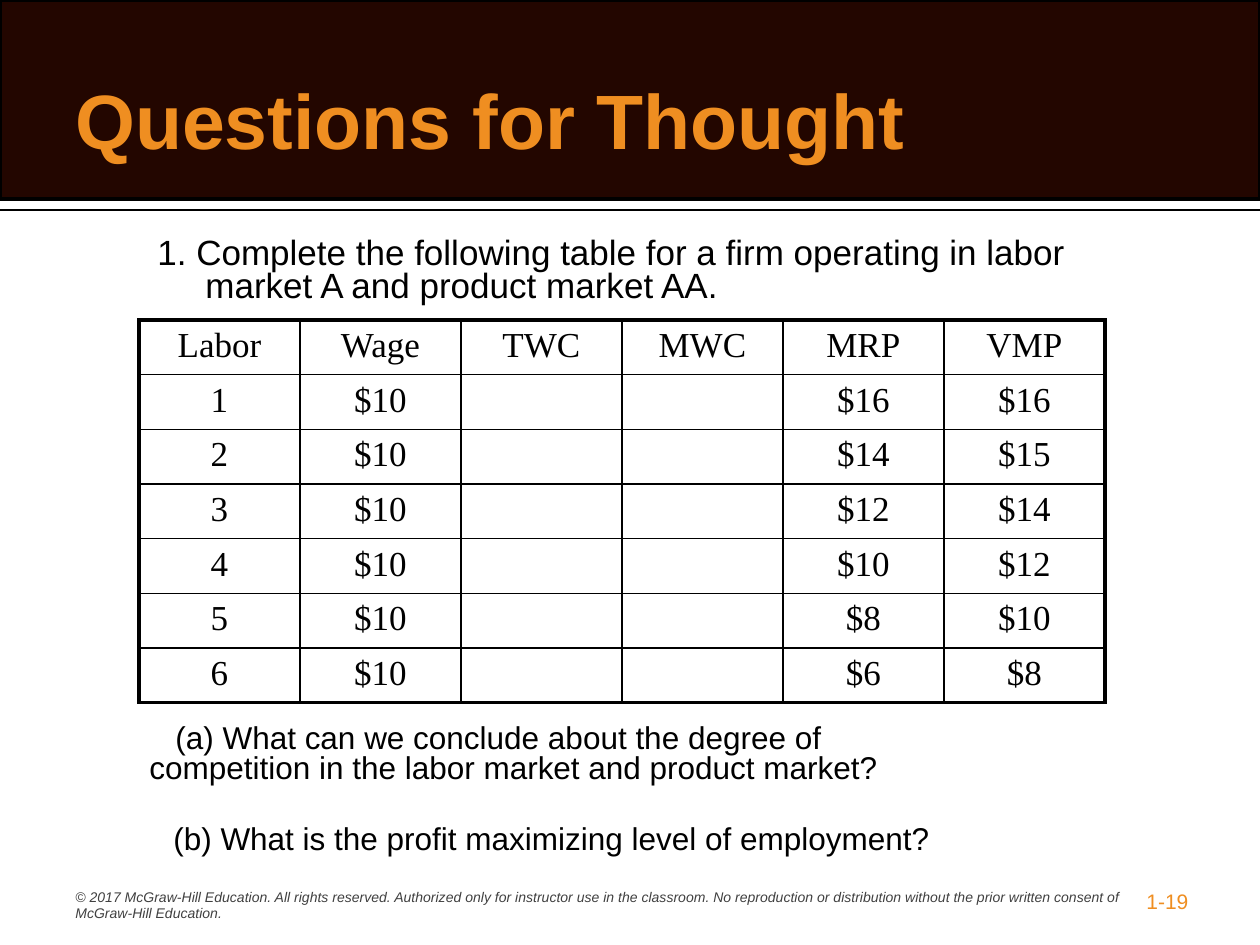
from lxml.etree import SubElement
from pptx import Presentation
from pptx.dml.color import RGBColor
from pptx.enum.shapes import MSO_CONNECTOR, MSO_SHAPE
from pptx.enum.text import MSO_ANCHOR, PP_ALIGN
from pptx.oxml.ns import qn
from pptx.util import Emu, Pt

PX = 914400 / 126
COLORS = {"band": "230600", "accent": "EF8E21", "ink": "000000", "footer": "404040"}
ROWS = [
    ["Labor", "Wage", "TWC", "MWC", "MRP", "VMP"],
    ["1", "$10", "", "", "$16", "$16"],
    ["2", "$10", "", "", "$14", "$15"],
    ["3", "$10", "", "", "$12", "$14"],
    ["4", "$10", "", "", "$10", "$12"],
    ["5", "$10", "", "", "$8", "$10"],
    ["6", "$10", "", "", "$6", "$8"],
]


def px(length):
    return Emu(round(length * PX))


def color(name):
    return RGBColor.from_string(COLORS[name])


def write(frame, text, size, ink="ink", font="Arial", bold=False, italic=False,
          align=PP_ALIGN.LEFT, spacing=None, left=0, indent=0):
    """Fill a text frame with one paragraph; left and indent are in px."""
    frame.word_wrap = True
    para = frame.paragraphs[0]
    para.text = text
    para.alignment = align
    para.space_before = Pt(0)
    if spacing:
        para.line_spacing = spacing
    if left or indent:
        properties = para._p.get_or_add_pPr()
        properties.set("marL", str(px(left)))
        properties.set("indent", str(px(indent)))
    for span in para.runs:
        span.font.size = Pt(size)
        span.font.name = font
        span.font.bold = bold
        span.font.italic = italic
        span.font.color.rgb = color(ink)


def add_text(page, box, text, size, anchor=MSO_ANCHOR.TOP, **style):
    frame = page.shapes.add_textbox(*map(px, box)).text_frame
    frame.vertical_anchor = anchor
    write(frame, text, size, **style)


def add_header(page, box):
    left, top, width, height = box
    band = page.shapes.add_shape(MSO_SHAPE.RECTANGLE, *map(px, box))
    band.shadow.inherit = False
    band.fill.solid()
    band.fill.fore_color.rgb = color("band")
    band.line.color.rgb = color("ink")
    band.line.width = Pt(2)

    rule_y = top + height + 11
    rule = page.shapes.add_connector(
        MSO_CONNECTOR.STRAIGHT, px(left), px(rule_y), px(left + width), px(rule_y))
    rule.line.color.rgb = color("ink")
    rule.line.width = Pt(1)
    SubElement(rule._element.spPr, qn("a:effectLst"))

    add_text(page, (left + 63, top + 40, width - 126, 158), "Questions for Thought", 44,
             anchor=MSO_ANCHOR.MIDDLE, ink="accent", bold=True)


def add_border(cell, side, points):
    line = SubElement(cell._tc.get_or_add_tcPr(), qn(f"a:ln{side}"), w=str(Pt(points)))
    fill = SubElement(line, qn("a:solidFill"))
    SubElement(fill, qn("a:srgbClr"), val=COLORS["ink"])


def add_labor_table(page, box):
    height, width = len(ROWS), len(ROWS[0])
    table = page.shapes.add_table(height, width, *map(px, box)).table
    table.first_row = table.horz_banding = False
    for column in table.columns:
        column.width = px(box[2] / width)
    for y, values in enumerate(ROWS):
        table.rows[y].height = px(box[3] / height)
        for x, value in enumerate(values):
            cell = table.cell(y, x)
            outer = {"L": x == 0, "R": x == width - 1, "T": y == 0, "B": y == height - 1}
            for side, is_outer in outer.items():
                add_border(cell, side, 2.25 if is_outer else 1)
            cell.fill.background()
            write(cell.text_frame, value, 20, font="Times New Roman", align=PP_ALIGN.CENTER)


def add_questions(page, box):
    left, top, width, height = box
    add_text(page, (left + 8, top, width - 8, 84),
             "1. Complete the following table for a firm operating in labor market A "
             "and product market AA.", 20, spacing=0.8, left=48, indent=-48)
    add_labor_table(page, (left + 2, top + 88, 966, 383))
    add_text(page, (left, top + 487, 935, 75),
             "(a) What can we conclude about the degree of\v"
             "competition in the labor market and product market?",
             18, spacing=0.8, indent=26)
    add_text(page, (left - 2, top + 588, 935, 43),
             "(b) What is the profit maximizing level of employment?",
             18, spacing=0.8, indent=26)


def add_footer(page, box):
    left, top, width, height = box
    add_text(page, (left, top, 1081, height),
             "© 2017 McGraw-Hill Education. All rights reserved. Authorized only for "
             "instructor use in the classroom. No reproduction or distribution without "
             "the prior written consent of McGraw-Hill Education.",
             8, ink="footer", italic=True)
    add_text(page, (left + 1071, top, 95, 38), "1-19", 12, ink="accent")


def main():
    deck = Presentation()
    deck.slide_width, deck.slide_height = px(1260), px(945)
    page = deck.slides.add_slide(deck.slide_layouts[6])
    add_header(page, (0, 0, 1260, 199))
    add_questions(page, (137, 232, 1003, 631))
    add_footer(page, (63, 882, 1166, 47))
    deck.save("out.pptx")


if __name__ == "__main__":
    main()
